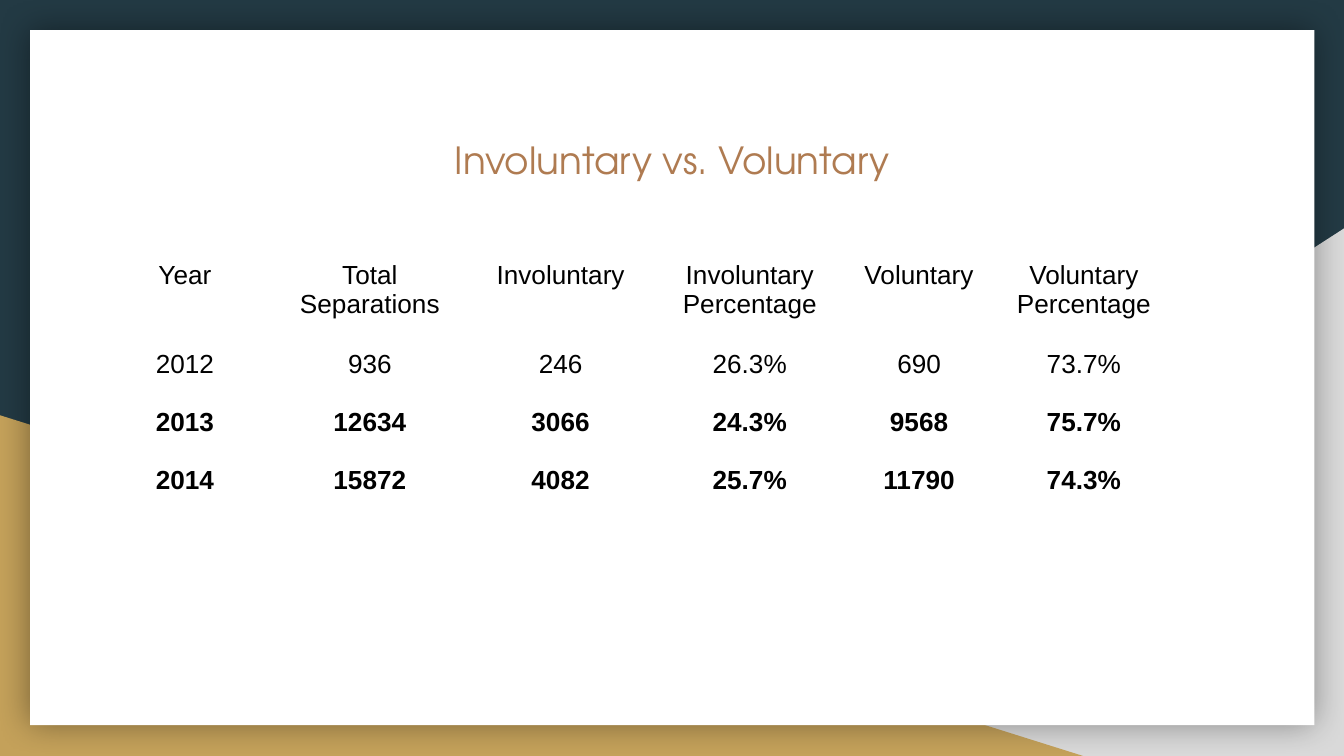
from typing import NamedTuple

from lxml import etree
from pptx import Presentation
from pptx import util as u
from pptx.dml.color import RGBColor
from pptx.enum import shapes, text
from pptx.oxml.ns import qn

COLORS = {
    "navy": "233A44",
    "grey": "D9D9D9",
    "gold": "C4A15A",
    "white": "FFFFFF",
    "bronze": "AF7B51",
    "black": "000000",
}
INSET = u.Cm(0.25)


class Panel(NamedTuple):
    kind: shapes.MSO_SHAPE
    left: float
    top: float
    width: float
    height: float
    color: str
    flipped: bool = False
    shadowed: bool = False


class Row(NamedTuple):
    values: list[str]
    height: float = 1.07
    bold: bool = False


PANELS = [
    Panel(shapes.MSO_SHAPE.RIGHT_TRIANGLE, 9.96, 4.32, 15.44, 9.97, "grey", flipped=True),
    Panel(shapes.MSO_SHAPE.RIGHT_TRIANGLE, 0, 7.85, 20.47, 6.44, "gold"),
    Panel(shapes.MSO_SHAPE.RECTANGLE, 0.57, 0.57, 24.27, 13.14, "white", shadowed=True),
]
COLUMN_WIDTHS = [3.33, 3.66, 3.55, 3.6, 2.8, 3.43]
ROWS = [
    Row(["Year", "Total Separations", "Involuntary", "Involuntary Percentage",
         "Voluntary", "Voluntary Percentage"], height=1.6),
    Row(["2012", "936", "246", "26.3%", "690", "73.7%"]),
    Row(["2013", "12634", "3066", "24.3%", "9568", "75.7%"], bold=True),
    Row(["2014", "15872", "4082", "25.7%", "11790", "74.3%"], bold=True),
]


def rgb(name: str) -> RGBColor:
    return RGBColor.from_string(COLORS[name])


def add_glow_shadow(sp) -> None:
    """Add a soft shadow spreading evenly on all sides."""
    effects = sp._element.spPr.find(qn("a:effectLst"))
    shadow = etree.SubElement(effects, qn("a:outerShdw"), blurRad=str(u.Pt(18)),
                              dist="0", dir="0", algn="ctr", rotWithShape="0")
    color = etree.SubElement(shadow, qn("a:srgbClr"), val=COLORS["black"])
    etree.SubElement(color, qn("a:alpha"), val="40000")


def add_panel(s, panel: Panel) -> None:
    sp = s.shapes.add_shape(panel.kind, u.Cm(panel.left), u.Cm(panel.top),
                            u.Cm(panel.width), u.Cm(panel.height))
    sp.fill.solid()
    sp.fill.fore_color.rgb = rgb(panel.color)
    sp.line.fill.background()
    sp.shadow.inherit = False
    if panel.flipped:
        sp._element.spPr.find(qn("a:xfrm")).set("flipH", "1")
    if panel.shadowed:
        add_glow_shadow(sp)


def write(tf, content: str, size: int, font: str, color: str, bold: bool = False) -> None:
    tf.text = content
    tf.word_wrap = True
    p = tf.paragraphs[0]
    p.alignment = text.PP_ALIGN.CENTER
    r = p.runs[0]
    r.font.size = u.Pt(size)
    r.font.name = font
    r.font.bold = bold
    r.font.color.rgb = rgb(color)


def set_insets(box) -> None:
    box.margin_left = box.margin_right = box.margin_top = box.margin_bottom = INSET


def add_title(s, content: str) -> None:
    sp = s.shapes.add_textbox(u.Cm(2.28), u.Cm(2.34), u.Cm(20.85), u.Cm(2.64))
    tf = sp.text_frame
    set_insets(tf)
    tf.vertical_anchor = text.MSO_ANCHOR.TOP
    write(tf, content, 20, "TeX Gyre Adventor", "bronze")


def add_separations_table(s, rows: list[Row]) -> None:
    frame = s.shapes.add_table(len(rows), len(COLUMN_WIDTHS), u.Cm(1.83), u.Cm(4.67),
                               u.Cm(sum(COLUMN_WIDTHS)), u.Cm(sum(r.height for r in rows)))
    table = frame.table
    table.first_row = table.horz_banding = False
    for column, width in zip(table.columns, COLUMN_WIDTHS):
        column.width = u.Cm(width)
    for table_row, row in zip(table.rows, rows):
        table_row.height = u.Cm(row.height)
        for cell, value in zip(table_row.cells, row.values):
            cell.fill.background()
            set_insets(cell)
            write(cell.text_frame, value, 14, "Arial", "black", row.bold)


def main() -> None:
    prs = Presentation()
    prs.slide_width, prs.slide_height = u.Cm(25.4), u.Cm(14.29)
    s = prs.slides.add_slide(prs.slide_layouts[6])
    s.background.fill.solid()
    s.background.fill.fore_color.rgb = rgb("navy")
    for panel in PANELS:
        add_panel(s, panel)
    add_title(s, "Involuntary vs. Voluntary")
    add_separations_table(s, ROWS)
    prs.save("out.pptx")


if __name__ == "__main__":
    main()
